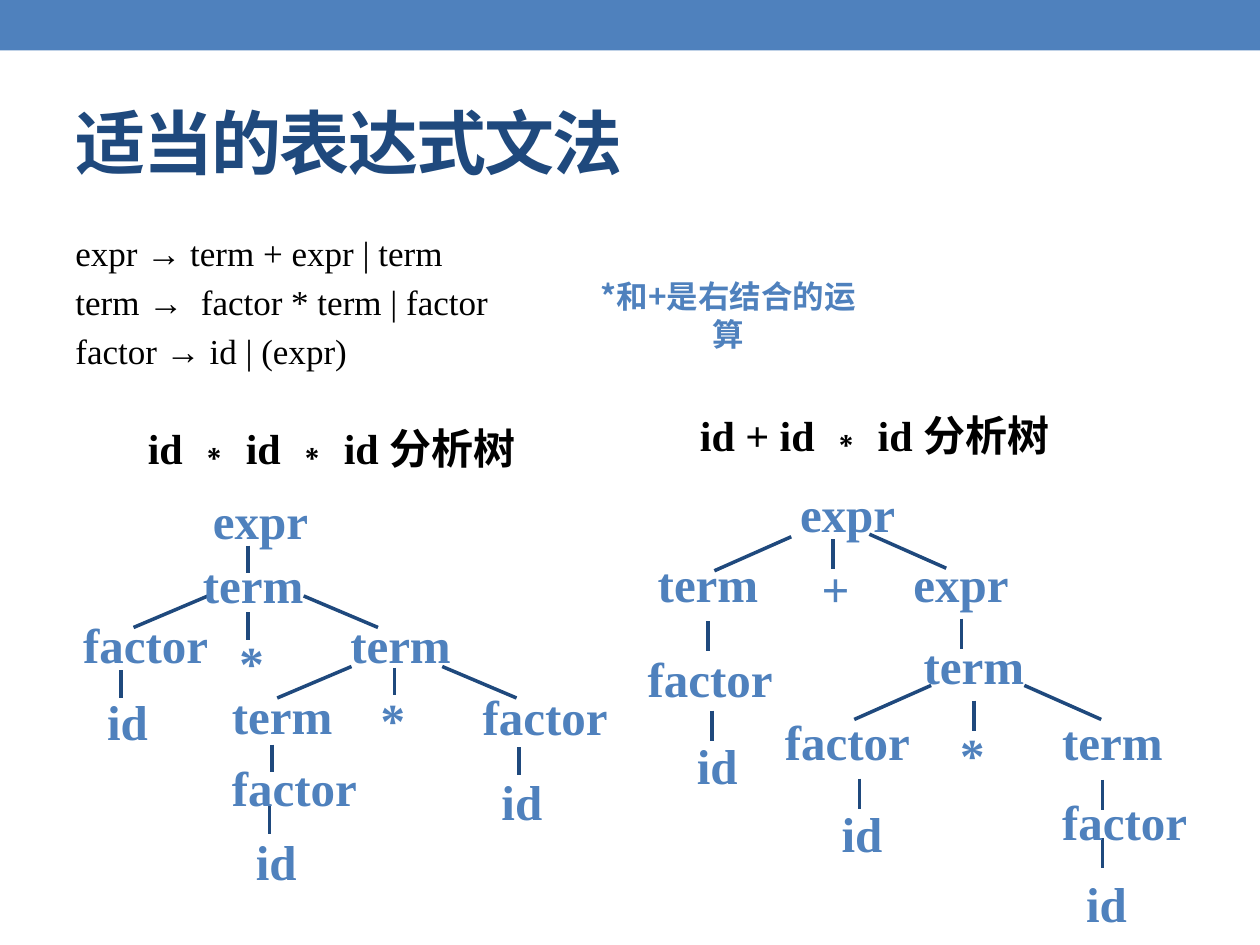
from dataclasses import dataclass
from typing import NamedTuple

from lxml import etree
from pptx import Presentation
from pptx.dml.color import RGBColor
from pptx.enum.shapes import MSO_CONNECTOR, MSO_SHAPE
from pptx.enum.text import MSO_ANCHOR, PP_ALIGN
from pptx.oxml.ns import qn
from pptx.util import Inches, Pt

RECT = MSO_SHAPE.RECTANGLE
STRAIGHT = MSO_CONNECTOR.STRAIGHT
TOP, MIDDLE = MSO_ANCHOR.TOP, MSO_ANCHOR.MIDDLE
LEFT, CENTER = PP_ALIGN.LEFT, PP_ALIGN.CENTER


@dataclass(frozen=True)
class Theme:
    blue: RGBColor = RGBColor(0x4F, 0x81, 0xBD)
    navy: RGBColor = RGBColor(0x1F, 0x49, 0x7D)
    black: RGBColor = RGBColor(0, 0, 0)
    serif: str = "Times New Roman"
    sans: str = "Noto Sans CJK SC"
    title: int = 40
    node: int = 28
    heading: int = 24
    body: int = 20
    note: int = 18
    line: int = 2


THEME = Theme()
NODE_WIDTHS = {"expr": 0.9, "term": 0.95, "factor": 1.15}
SYMBOL_WIDTH = 0.41


class Box(NamedTuple):
    x: float
    y: float
    w: float
    h: float


class Node(NamedTuple):
    text: str
    x: float
    y: float


class Point(NamedTuple):
    x: float
    y: float


@dataclass(frozen=True)
class Tree:
    expression: str
    heading: Box
    node_height: float
    stem: float
    branch: Point
    nodes: list[Node]
    stems: list[Point]
    left_branches: list[Point]
    right_branches: list[Point]


TREES = [
    Tree(
        "id ∗ id ∗ id ", Box(0.64, 3.15, 4.06, 0.8), 0.41, 0.22, Point(0.59, 0.25),
        [Node("expr", 1.67, 3.88), Node("term", 1.59, 4.39),
         Node("factor", 0.64, 4.87), Node("*", 1.88, 5.01), Node("term", 2.76, 4.87),
         Node("id", 0.83, 5.48), Node("term", 1.82, 5.43), Node("*", 3, 5.46),
         Node("factor", 3.81, 5.44), Node("factor", 1.82, 6),
         Node("id", 3.96, 6.11), Node("id", 2.01, 6.59)],
        [Point(1.97, 4.33), Point(1.97, 4.86), Point(0.96, 5.32), Point(3.13, 5.3),
         Point(2.16, 5.91), Point(4.12, 5.93), Point(2.14, 6.4)],
        [Point(1.65, 4.73), Point(2.79, 5.29)],
        [Point(2.41, 4.73), Point(3.51, 5.29)],
    ),
    Tree(
        "id + id ∗ id ", Box(5.2, 3.01, 3.56, 0.88), 0.45, 0.24, Point(0.61, 0.27),
        [Node("expr", 6.33, 3.83), Node("term", 5.2, 4.38), Node("+", 6.5, 4.42),
         Node("expr", 7.23, 4.38), Node("factor", 5.12, 5.14), Node("term", 7.31, 5.03),
         Node("id", 5.51, 5.83), Node("factor", 6.21, 5.64), Node("*", 7.6, 5.74),
         Node("term", 8.41, 5.64), Node("id", 6.66, 6.37),
         Node("factor", 8.41, 6.27), Node("id", 8.6, 6.92)],
        [Point(6.61, 4.28), Point(5.62, 4.93), Point(7.63, 4.91), Point(5.65, 5.64),
         Point(7.73, 5.56), Point(6.82, 6.18), Point(8.75, 6.19), Point(8.75, 6.65)],
        [Point(6.28, 4.26), Point(7.39, 5.44)],
        [Point(6.9, 4.24), Point(8.13, 5.44)],
    ),
]

GRAMMAR = [
    "expr → term + expr | term",
    "term →  factor * term | factor",
    "factor → id | (expr)",
]


def add_box(shapes, box: Box, anchor=TOP, inset: Point = Point(0.1, 0.05)):
    tf = shapes.add_textbox(*map(Inches, box)).text_frame
    tf.word_wrap = True
    tf.vertical_anchor = anchor
    tf.margin_left = tf.margin_right = Inches(inset.x)
    tf.margin_top = tf.margin_bottom = Inches(inset.y)
    return tf


def style(p, size: int, color: RGBColor, font: str, bold: bool = True, align=LEFT) -> None:
    p.alignment = align
    p.font.size = Pt(size)
    p.font.bold = bold
    p.font.color.rgb = color
    p.font.name = font


def add_run(p, text: str, chinese: bool = False):
    r = p.add_run()
    r.text = text
    if chinese:
        r.font.name = THEME.sans
        etree.SubElement(r.font._element, qn("a:ea"), typeface=THEME.sans)
    return r


def add_line(shapes, start: Point, dx: float, dy: float) -> None:
    c = shapes.add_connector(STRAIGHT, Inches(start.x), Inches(start.y),
                             Inches(start.x + dx), Inches(start.y + dy))
    c.line.color.rgb = THEME.navy
    c.line.width = Pt(THEME.line)
    etree.SubElement(c._element.spPr, qn("a:effectLst"))


def add_node(shapes, node: Node, height: float) -> None:
    width = NODE_WIDTHS.get(node.text, SYMBOL_WIDTH)
    tf = add_box(shapes, Box(node.x, node.y, width, height), inset=Point(0.02, 0.01))
    p = tf.paragraphs[0]
    add_run(p, node.text)
    style(p, THEME.node, THEME.blue, THEME.serif)


def add_tree(s, tree: Tree) -> None:
    shapes = s.shapes.add_group_shape().shapes
    for start in tree.stems:
        add_line(shapes, start, 0, tree.stem)
    for start in tree.left_branches:
        add_line(shapes, start, -tree.branch.x, tree.branch.y)
    for start in tree.right_branches:
        add_line(shapes, start, tree.branch.x, tree.branch.y)
    for node in tree.nodes:
        add_node(shapes, node, tree.node_height)
    p = add_box(shapes, tree.heading, MIDDLE).paragraphs[0]
    style(p, THEME.heading, THEME.black, THEME.serif, align=CENTER)
    add_run(p, tree.expression)
    add_run(p, "分析树 ", chinese=True)


def add_banner(s) -> None:
    sp = s.shapes.add_shape(RECT, 0, 0, Inches(10), Inches(0.4))
    sp.shadow.inherit = False
    sp.fill.solid()
    sp.fill.fore_color.rgb = THEME.blue
    sp.line.fill.background()


def add_texts(s) -> None:
    p = add_box(s.shapes, Box(0.5, 0.58, 9, 1.08), MIDDLE).paragraphs[0]
    r = add_run(p, "适当的表达式文法", chinese=True)
    r.font._element.set("spc", "-100")
    style(p, THEME.title, THEME.navy, THEME.sans)

    tf = add_box(s.shapes, Box(0.5, 1.79, 9, 1.3))
    for i, rule in enumerate(GRAMMAR):
        p = tf.add_paragraph() if i else tf.paragraphs[0]
        add_run(p, rule)
        style(p, THEME.body, THEME.black, THEME.serif, bold=False)
        if i:
            p.space_before = Pt(4)

    p = add_box(s.shapes, Box(4.55, 2.15, 2.46, 0.7)).paragraphs[0]
    add_run(p, "*和+是右结合的运算", chinese=True)
    style(p, THEME.note, THEME.blue, THEME.sans, align=CENTER)


def main() -> None:
    prs = Presentation()
    prs.slide_width, prs.slide_height = Inches(10), Inches(7.5)
    s = prs.slides.add_slide(prs.slide_layouts[6])
    add_banner(s)
    add_texts(s)
    for tree in TREES:
        add_tree(s, tree)
    prs.save("out.pptx")


if __name__ == "__main__":
    main()
